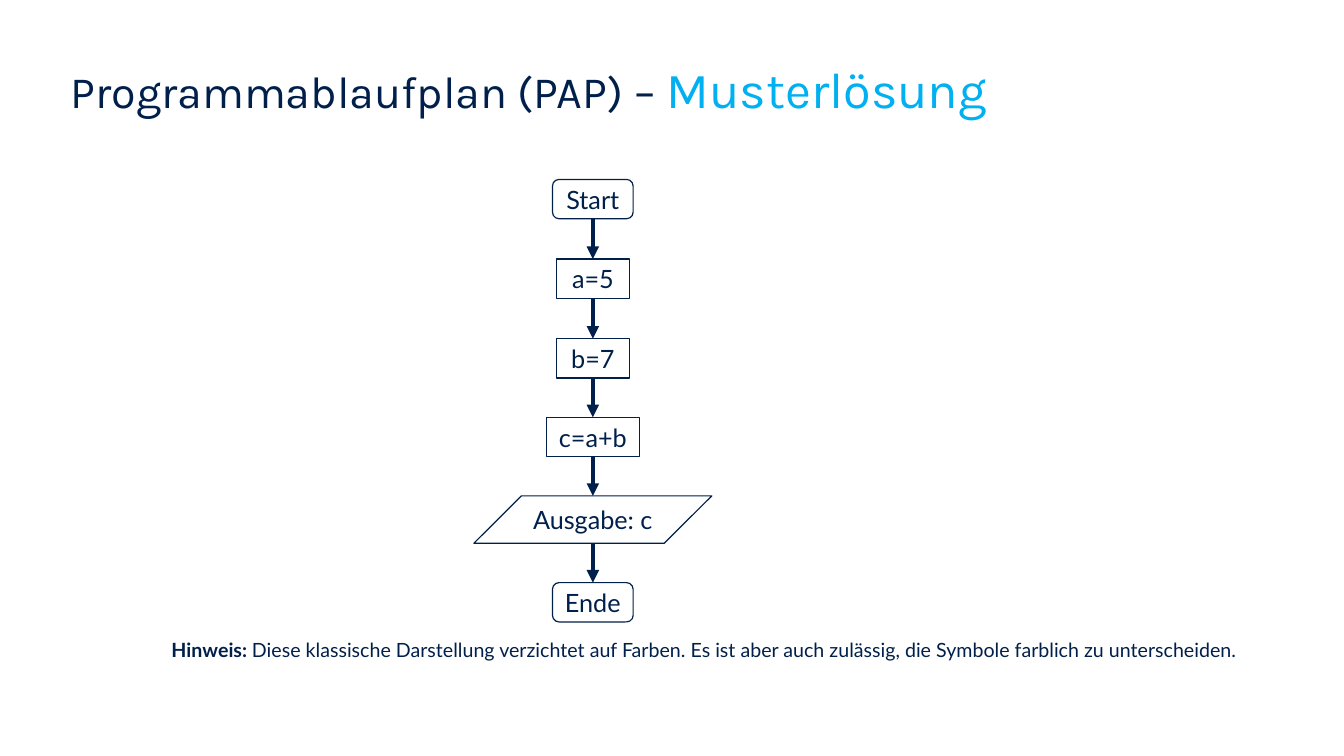
from typing import NamedTuple

from lxml.etree import SubElement
from pptx import Presentation
from pptx.dml.color import RGBColor
from pptx.enum.shapes import MSO_CONNECTOR, MSO_SHAPE as Shape
from pptx.enum.text import MSO_ANCHOR, PP_ALIGN
from pptx.oxml.ns import qn
from pptx.util import Emu, Pt

PX = 9144  # 100 px to the inch
NAVY = RGBColor(0x00, 0x20, 0x4B)
CYAN = RGBColor(0x00, 0xB0, 0xF0)
AXIS = 588  # horizontal centre of the flowchart
TOP, BOTTOM = 0, 2


class Step(NamedTuple):
    text: str
    kind: Shape
    top: int
    width: int
    height: int = 39


STEPS = [
    Step("Start", Shape.ROUNDED_RECTANGLE, 178, 80),
    Step("a=5", Shape.RECTANGLE, 257, 72),
    Step("b=7", Shape.RECTANGLE, 336, 72),
    Step("c=a+b", Shape.RECTANGLE, 414, 92),
    Step("Ausgabe: c", Shape.FLOWCHART_DATA, 492, 236, 47),
    Step("Ende", Shape.ROUNDED_RECTANGLE, 578, 80),
]


def px(n: int) -> Emu:
    return Emu(n * PX)


def add_run(p, text: str, size: int, font="Lato", color=NAVY, bold=False) -> None:
    r = p.add_run()
    r.text = text
    r.font.size, r.font.name, r.font.bold = Pt(size), font, bold
    r.font.color.rgb = color


def clear_margins(tf) -> None:
    tf.margin_left = tf.margin_right = tf.margin_top = tf.margin_bottom = 0
    tf.vertical_anchor = MSO_ANCHOR.MIDDLE


def add_step(s, step: Step):
    sp = s.shapes.add_shape(step.kind, px(AXIS - step.width // 2), px(step.top),
                            px(step.width), px(step.height))
    sp.shadow.inherit = False
    sp.fill.background()
    sp.line.color.rgb = NAVY
    sp.line.width = Pt(0.85)
    tf = sp.text_frame
    clear_margins(tf)
    tf.word_wrap = False
    p = tf.paragraphs[0]
    p.alignment = PP_ALIGN.CENTER
    add_run(p, step.text, 18)
    return sp


def add_arrow(s, upper, lower) -> None:
    c = s.shapes.add_connector(MSO_CONNECTOR.STRAIGHT, px(AXIS), upper.top + upper.height,
                               px(AXIS), lower.top)
    # The input/output symbol numbers its connection sites differently
    if upper.auto_shape_type != Shape.FLOWCHART_DATA:
        c.begin_connect(upper, BOTTOM)
    if lower.auto_shape_type != Shape.FLOWCHART_DATA:
        c.end_connect(lower, TOP)
    c.line.color.rgb = NAVY
    c.line.width = Pt(3)
    SubElement(c.line._get_or_add_ln(), qn("a:tailEnd"), type="triangle")
    SubElement(c._element.spPr, qn("a:effectLst"))


def main() -> None:
    prs = Presentation()
    prs.slide_width, prs.slide_height = px(1333), px(750)
    s = prs.slides.add_slide(prs.slide_layouts[5])

    # Title
    title = s.shapes.title
    title.left, title.top, title.width, title.height = px(60), px(48), px(1218), px(79)
    title.text_frame.vertical_anchor = MSO_ANCHOR.MIDDLE
    p = title.text_frame.paragraphs[0]
    p.alignment = PP_ALIGN.LEFT
    add_run(p, "Programmablaufplan (PAP) – ", 32, "Karla")
    add_run(p, "Musterlösung", 36, "Karla", CYAN)

    # Flowchart
    symbols = [add_step(s, step) for step in STEPS]
    for upper, lower in zip(symbols, symbols[1:]):
        add_arrow(s, upper, lower)

    # Hint
    tf = s.shapes.add_textbox(px(170), px(630), px(1108), px(30)).text_frame
    clear_margins(tf)
    tf.word_wrap = True
    p = tf.paragraphs[0]
    add_run(p, "Hinweis: ", 14, bold=True)
    add_run(p, "Diese klassische Darstellung verzichtet auf Farben. "
               "Es ist aber auch zulässig, die Symbole farblich zu unterscheiden.", 14)

    prs.save("out.pptx")


if __name__ == "__main__":
    main()
